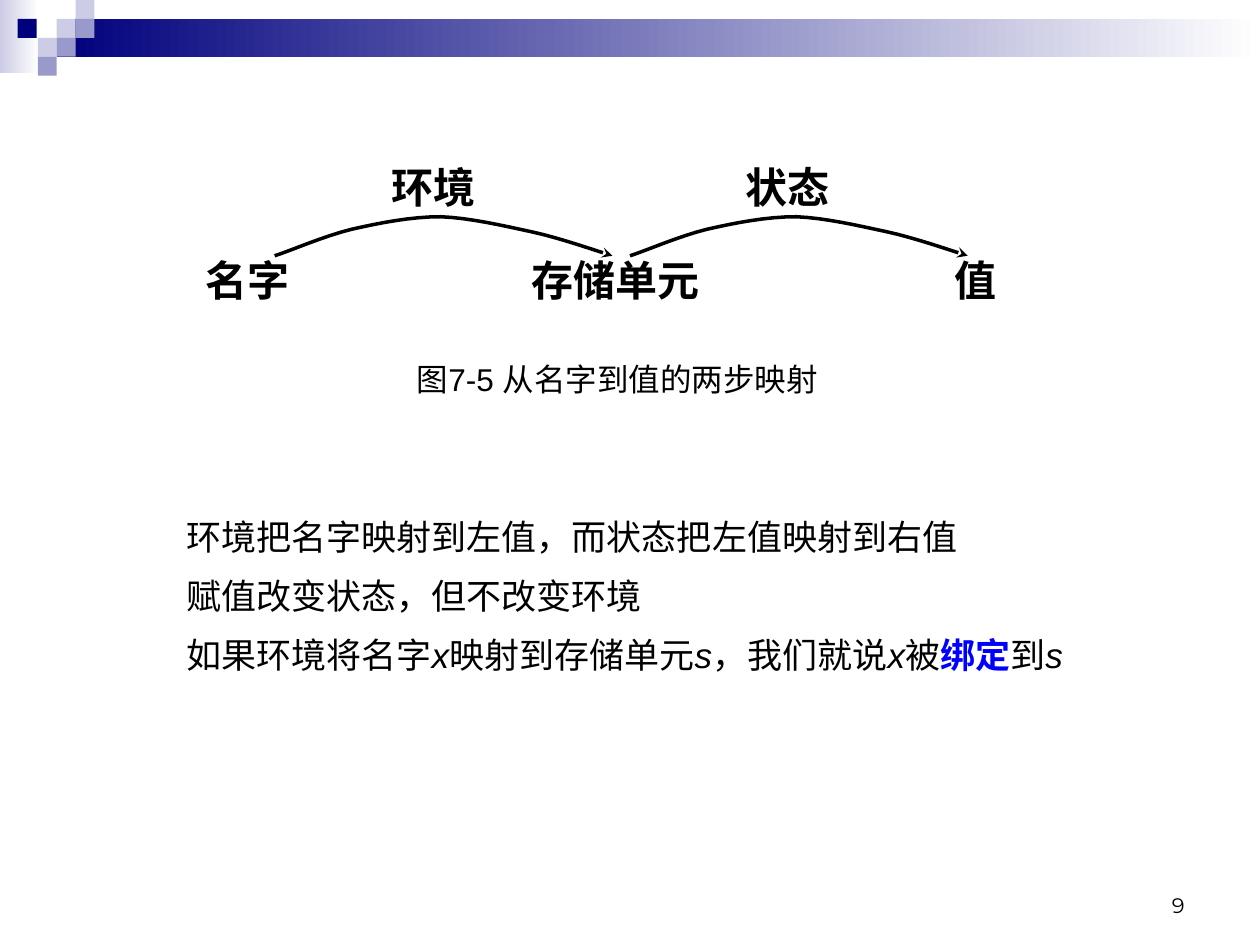
from dataclasses import dataclass

from lxml.etree import SubElement
from pptx import Presentation
from pptx.dml.color import RGBColor
from pptx.enum.shapes import MSO_SHAPE
from pptx.enum.text import MSO_ANCHOR, PP_ALIGN
from pptx.oxml.ns import qn
from pptx.slide import Slide
from pptx.util import Inches, Pt

COLORS = {
    "navy": "00007D",
    "violet": "9999CC",
    "lavender": "CCCCE6",
    "white": "FFFFFF",
    "black": "000000",
    "blue": "0000FF",
}
SQUARE = 0.15
CURVE_STEPS = 8


@dataclass(frozen=True)
class Block:
    left: float
    top: float
    width: float
    height: float
    color: str
    fades: bool = False


@dataclass(frozen=True)
class Span:
    text: str
    italic: bool = False
    bold: bool = False
    color: str = "black"


@dataclass(frozen=True)
class TextStyle:
    font: str
    size: int
    align: PP_ALIGN = PP_ALIGN.LEFT
    anchor: MSO_ANCHOR = MSO_ANCHOR.TOP
    line_spacing: float = 1.0
    wrap: bool = True


@dataclass(frozen=True)
class Label:
    text: str
    left: float
    top: float
    width: float


BLOCKS = [
    Block(0, 0, 0.31, 0.58, "lavender", fades=True),
    Block(0.45, 0.15, 9.55, 0.3, "navy", fades=True),
] + [
    Block(left, top, SQUARE, SQUARE, color)
    for left, top, color in [
        (0.45, 0.15, "lavender"),
        (0.6, 0, "lavender"),
        (0.6, 0.15, "violet"),
        (0.3, 0.3, "lavender"),
        (0.14, 0.15, "navy"),
        (0.45, 0.3, "violet"),
        (0.3, 0.45, "violet"),
    ]
]

LABELS = [
    Label("名字", 1.53, 1.97, 1.37),
    Label("存储单元", 4.12, 1.97, 1.73),
    Label("值", 7.48, 1.97, 1.05),
    Label("环境", 3.01, 1.23, 1.05),
    Label("状态", 5.82, 1.23, 1.05),
]

ARC_STARTS = [2.18, 5.0]
ARC_TOP = 1.72
ARC_POINTS = [
    (0, 0.31), (0.1, 0.28), (0.4, 0.15), (0.61, 0.1),
    (0.83, 0.05), (1.08, 0), (1.32, 0), (1.55, 0.01), (1.81, 0.07),
    (2.04, 0.12), (2.27, 0.17), (2.55, 0.27), (2.68, 0.31),
]

BODY = [
    [Span("环境把名字映射到左值，而状态把左值映射到右值")],
    [Span("赋值改变状态，但不改变环境")],
    [
        Span("如果环境将名字"),
        Span("x", italic=True),
        Span("映射到存储单元"),
        Span("s", italic=True),
        Span("，我们就说"),
        Span("x", italic=True),
        Span("被"),
        Span("绑定", bold=True, color="blue"),
        Span("到"),
        Span("s", italic=True),
    ],
]

LABEL_STYLE = TextStyle("Times New Roman", 24, PP_ALIGN.JUSTIFY)
BODY_STYLE = TextStyle("Arial", 20, line_spacing=1.4)
CAPTION_STYLE = TextStyle("Arial", 18, wrap=False)
NUMBER_STYLE = TextStyle("Montserrat", 12, PP_ALIGN.RIGHT, MSO_ANCHOR.BOTTOM)


def rgb(name: str) -> RGBColor:
    """Return the palette colour of that name."""
    return RGBColor.from_string(COLORS[name])


def draw_block(page: Slide, block: Block) -> None:
    """Draw one rectangle of the header band."""
    shape = page.shapes.add_shape(
        MSO_SHAPE.RECTANGLE,
        *map(Inches, (block.left, block.top, block.width, block.height)),
    )
    shape.shadow.inherit = False
    shape.line.fill.background()
    if block.fades:
        shape.fill.gradient()
        shape.fill.gradient_angle = 0
        for stop, name in zip(shape.fill.gradient_stops, (block.color, "white")):
            stop.color.rgb = rgb(name)
    else:
        shape.fill.solid()
        shape.fill.fore_color.rgb = rgb(block.color)


def draw_text(
    page: Slide,
    bounds: tuple[float, float, float, float],
    paragraphs: list[list[Span]],
    style: TextStyle,
) -> None:
    """Add a text box and fill it run by run."""
    box = page.shapes.add_textbox(*map(Inches, bounds))
    frame = box.text_frame
    frame.word_wrap = style.wrap
    frame.vertical_anchor = style.anchor
    for index, spans in enumerate(paragraphs):
        para = frame.add_paragraph() if index else frame.paragraphs[0]
        para.alignment = style.align
        para.line_spacing = style.line_spacing
        for span in spans:
            run = para.add_run()
            run.text = span.text
            run.font.name = style.font
            run.font.size = Pt(style.size)
            run.font.bold = span.bold
            run.font.italic = span.italic
            run.font.color.rgb = rgb(span.color)


def curve_points(controls: list[tuple[float, float]]) -> list[tuple[float, float]]:
    """Sample a chain of cubic curves."""
    points = [controls[0]]
    for first in range(0, len(controls) - 1, 3):
        a, b, c, d = controls[first:first + 4]
        for step in range(1, CURVE_STEPS + 1):
            t = step / CURVE_STEPS
            u = 1 - t
            weights = (u**3, 3 * u * u * t, 3 * u * t * t, t**3)
            x, y = (sum(w * v for w, v in zip(weights, axis)) for axis in zip(a, b, c, d))
            points.append((x, y))
    return points


def draw_arc(page: Slide, left: float) -> None:
    """Draw a curved mapping arrow."""
    points = [
        (Inches(left + x), Inches(ARC_TOP + y)) for x, y in curve_points(ARC_POINTS)
    ]
    builder = page.shapes.build_freeform(*points[0])
    builder.add_line_segments(points[1:], close=False)
    arc = builder.convert_to_shape()
    arc.shadow.inherit = False
    arc.fill.background()
    arc.line.color.rgb = rgb("black")
    arc.line.width = Pt(2)
    SubElement(arc.line._get_or_add_ln(), qn("a:tailEnd"), type="stealth")


def main() -> None:
    """Build the slide and save it."""
    deck = Presentation()
    deck.slide_width, deck.slide_height = Inches(10), Inches(7.5)
    page = deck.slides.add_slide(deck.slide_layouts[6])
    for block in BLOCKS:
        draw_block(page, block)
    draw_text(page, (7.17, 6.83, 2.33, 0.5), [[Span("9")]], NUMBER_STYLE)
    draw_text(page, (1.38, 3.91, 7.4, 1.97), BODY, BODY_STYLE)
    for label in LABELS:
        bounds = (label.left, label.top, label.width, 0.5)
        draw_text(page, bounds, [[Span(label.text, bold=True)]], LABEL_STYLE)
    for left in ARC_STARTS:
        draw_arc(page, left)
    draw_text(page, (3.21, 2.81, 3.5, 0.4), [[Span("图7-5 从名字到值的两步映射")]], CAPTION_STYLE)
    deck.save("out.pptx")


if __name__ == "__main__":
    main()
